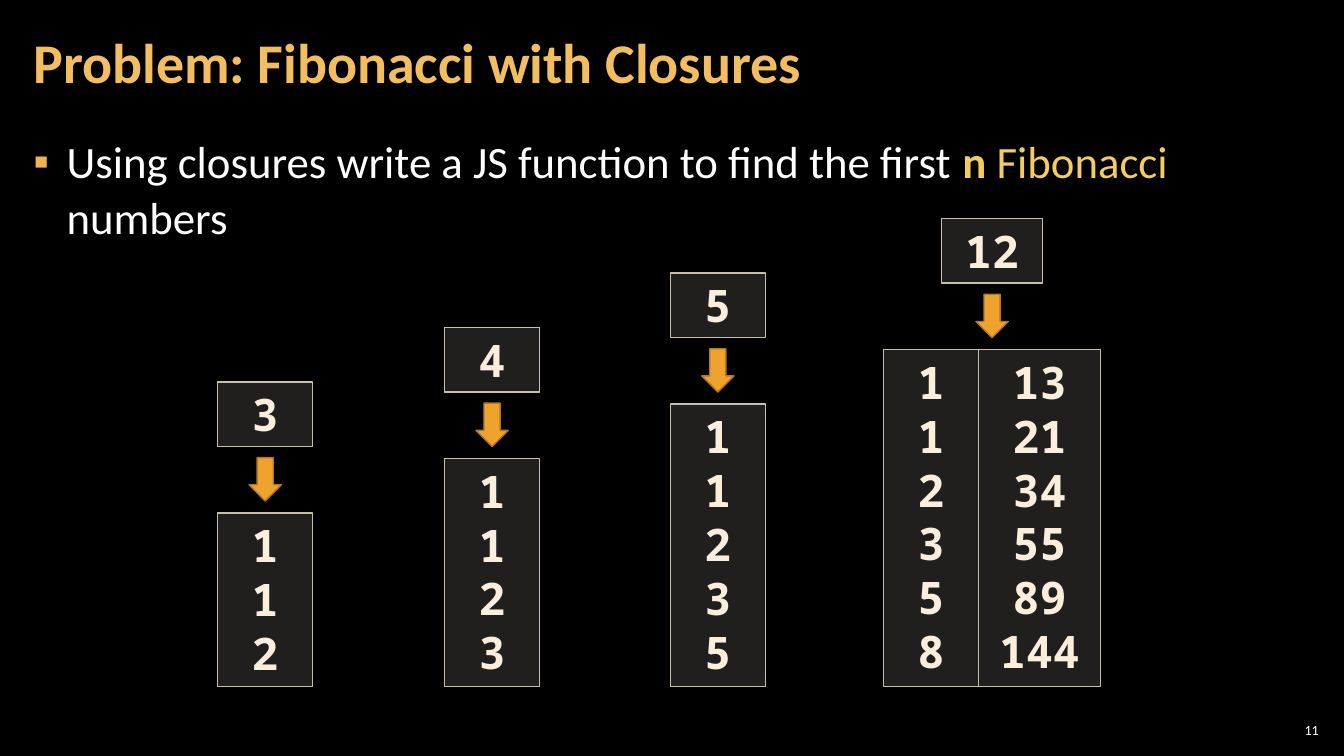
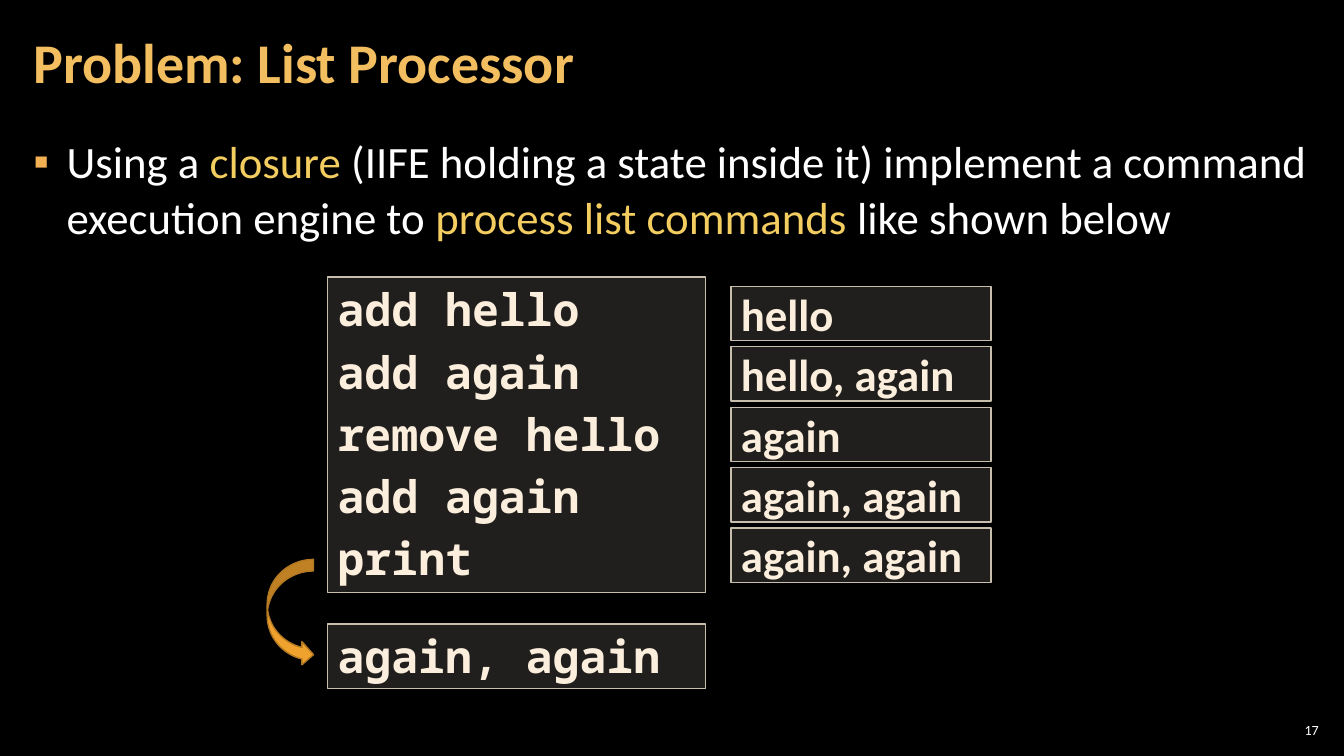
"""Build two dark exercise slides: Fibonacci with closures and a list processor."""
from lxml import etree
from pptx import Presentation
from pptx.dml.color import RGBColor
from pptx.enum.shapes import MSO_SHAPE as Kind
from pptx.enum.text import MSO_ANCHOR as Anchor, MSO_AUTO_SIZE as Fit, PP_ALIGN as Align
from pptx.oxml.ns import qn
from pptx.util import Inches, Pt

SANS, MONO = "Calibri", "Noto Sans Mono"
BLACK, WHITE, GOLD, KEY = "000000", "FFFFFF", "F3BE60", "F3CD60"
MARK, PANE, EDGE, CREAM = "F2B254", "D9D5C7", "C7BFAC", "FBEEDC"
AMBER, RUST = "F0A22E", "B27822"
rgb = RGBColor.from_string


def say(para, text, size, color, bold=False, font=SANS):
    run = para.add_run()
    run.text = text
    run.font.size, run.font.name, run.font.bold = Pt(size), font, bold
    run.font.color.rgb = rgb(color)


def draw(slide, kind, spot, lines=(), font=MONO, align=Align.LEFT, gap=0, pad=0.05):
    shape = slide.shapes.add_shape(kind, *map(Inches, spot))
    shape.shadow.inherit = False
    pane = kind == Kind.RECTANGLE
    shape.fill.solid()
    shape.fill.fore_color.rgb = rgb(PANE if pane else AMBER)
    shape.line.color.rgb = rgb(EDGE if pane else RUST)
    shape.line.width = Pt(1)
    if pane:
        tint = shape.fill._xPr.find(qn("a:solidFill"))[0]
        etree.SubElement(tint, qn("a:alpha"), val="15000")
    frame = shape.text_frame
    frame.vertical_anchor = Anchor.TOP
    frame.margin_top = frame.margin_bottom = Inches(pad)
    for i, line in enumerate(lines):
        para = frame.add_paragraph() if i else frame.paragraphs[0]
        para.alignment, para.space_before = align, Pt(gap)
        say(para, line, 32, CREAM, True, font)


deck = Presentation()
deck.slide_width, deck.slide_height = Inches(13.33), Inches(7.5)
back = deck.slide_master.background.fill
back.solid()
back.fore_color.rgb = rgb(BLACK)

pages = [
    ("Problem: Fibonacci with Closures", "11", 12.44, [
        ("Using closures write a JS function to find the first ", WHITE, False),
        ("n ", KEY, True),
        ("Fibonacci", KEY, False),
        (" numbers", WHITE, False),
    ]),
    ("Problem: List Processor", "17", 12.91, [
        ("Using a ", WHITE, False),
        ("closure", KEY, False),
        (" (IIFE holding a state inside it) implement a command execution engine to ", WHITE, False),
        ("process list commands ", KEY, False),
        ("like shown below", WHITE, False),
    ]),
]
slides = []
for title, number, width, parts in pages:
    slide = deck.slides.add_slide(deck.slide_layouts[1])
    slides.append(slide)
    head, body = slide.placeholders
    note = slide.shapes.add_textbox(0, 0, 0, 0)
    for item, spot, side, anchor in [
        (head, (0.21, 0.04, 10.47, 1.21), 0.12, Anchor.MIDDLE),
        (body, (0.21, 1.26, width, 6.09), 0.12, Anchor.TOP),
        (note, (12.65, 7.14, 0.47, 0.21), 0.04, Anchor.MIDDLE),
    ]:
        item.left, item.top, item.width, item.height = map(Inches, spot)
        frame = item.text_frame
        frame.word_wrap, frame.auto_size, frame.vertical_anchor = True, Fit.NONE, anchor
        frame.margin_left = frame.margin_right = Inches(side)
        frame.margin_top = frame.margin_bottom = Inches(0.04)

    para = head.text_frame.paragraphs[0]
    para.alignment, para.line_spacing = Align.LEFT, 0.9
    say(para, title, 40, GOLD, True)

    para = body.text_frame.paragraphs[0]
    para.line_spacing, para.space_before, para.space_after = 1.05, Pt(6), Pt(6)
    props = para._p.get_or_add_pPr()
    props.set("marL", str(Inches(0.33)))
    props.set("indent", str(-Inches(0.33)))
    tone = etree.SubElement(props, qn("a:buClr"))
    etree.SubElement(tone, qn("a:srgbClr"), val=MARK)
    etree.SubElement(props, qn("a:buChar"), char="▪")
    for text, color, bold in parts:
        say(para, text, 32, color, bold)

    para = note.text_frame.paragraphs[0]
    para.alignment = Align.RIGHT
    say(para, number, 10, WHITE)

fib, proc = slides

base, step = 6.81, 0.54
for count, mid, wide, stacks in [
    ("3", 2.63, 0.94, [(0.94, "1 1 2")]),
    ("4", 4.88, 0.94, [(0.94, "1 1 2 3")]),
    ("5", 7.12, 0.94, [(0.94, "1 1 2 3 5")]),
    ("12", 9.84, 1, [(0.94, "1 1 2 3 5 8"), (1.21, "13 21 34 55 89 144")]),
]:
    high = 0.1 + step * len(stacks[0][1].split())
    top = base - high
    draw(fib, Kind.RECTANGLE, (mid - wide / 2, top - 1.3, wide, 0.64), [count], align=Align.CENTER)
    draw(fib, Kind.DOWN_ARROW, (mid - 0.16, top - 0.55, 0.32, 0.43))
    left = mid - sum(span for span, _ in stacks) / 2
    for span, terms in stacks:
        draw(fib, Kind.RECTANGLE, (left, top, span, high), terms.split(), align=Align.CENTER)
        left += span

states = ["hello", "hello, again", "again", "again, again", "again, again"]
for i, state in enumerate(states):
    draw(proc, Kind.RECTANGLE, (7.25, 2.84 + 0.6 * i, 2.58, 0.54), [state], SANS, gap=6, pad=0)
orders = ["add hello", "add again", "remove hello", "add again", "print"]
draw(proc, Kind.RECTANGLE, (3.25, 2.75, 3.75, 3.13), orders, gap=6)
draw(proc, Kind.RECTANGLE, (3.25, 6.19, 3.75, 0.64), ["again, again"], gap=6)
draw(proc, Kind.CURVED_RIGHT_ARROW, (2.65, 5.55, 0.46, 1.06))

deck.save("out.pptx")
